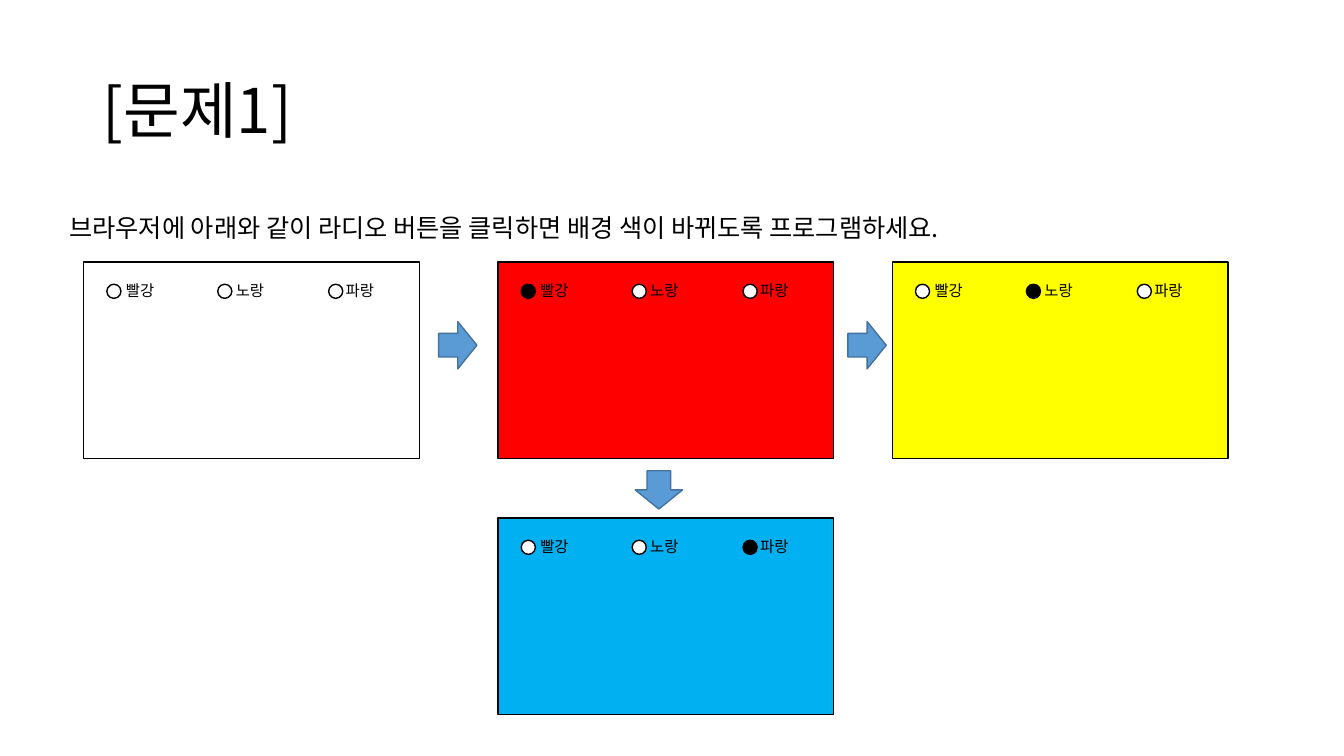
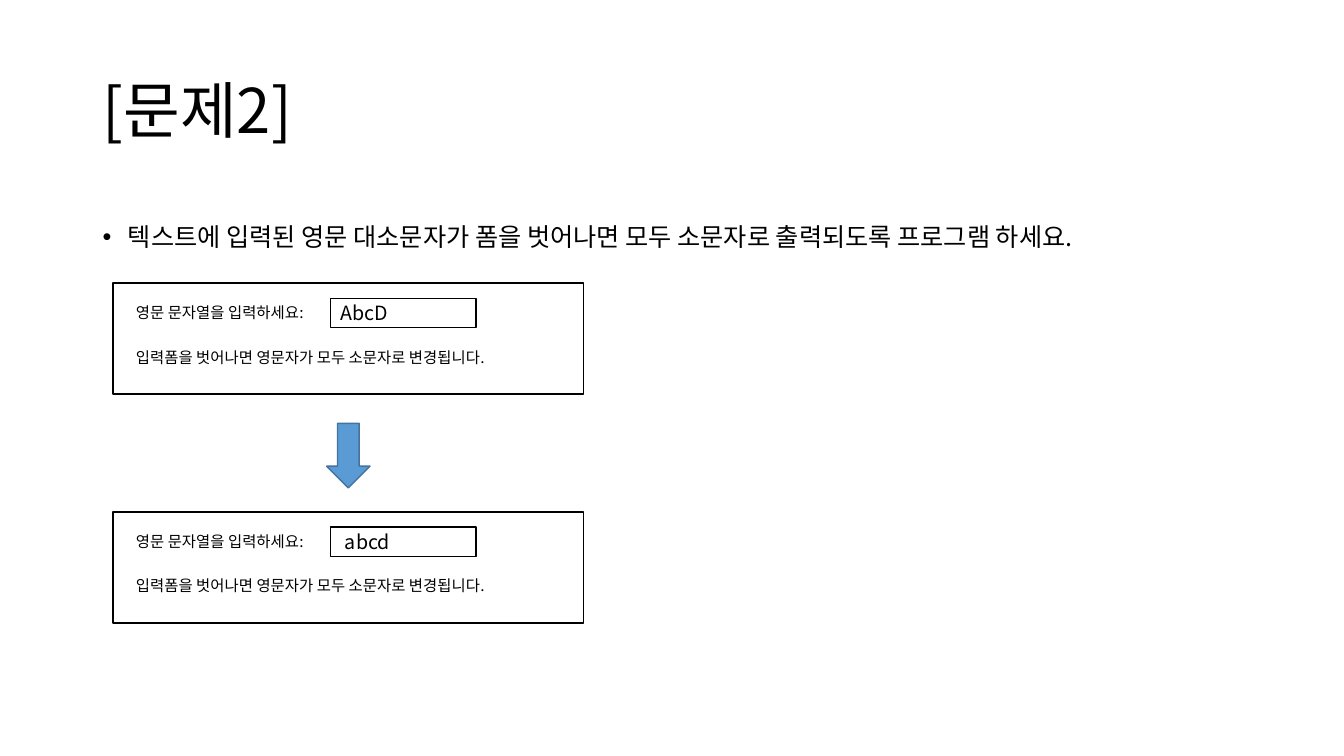
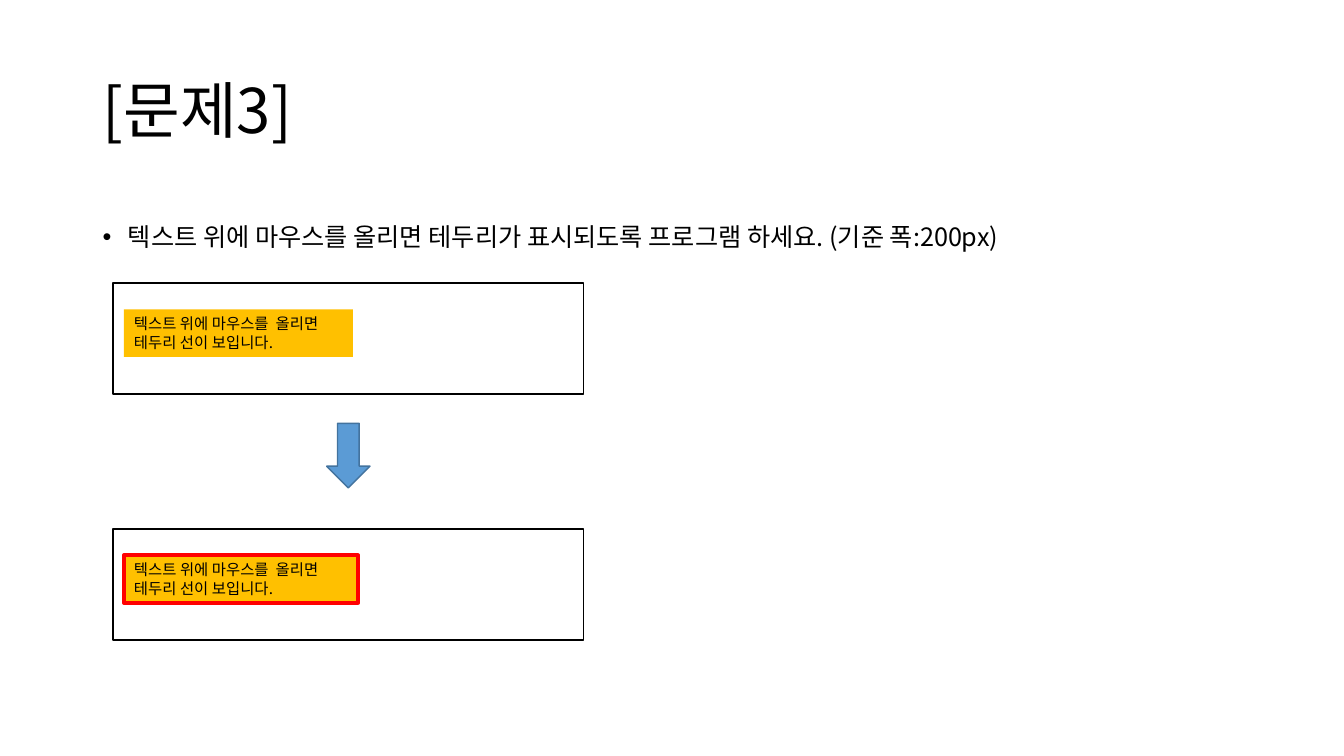
from pptx import Presentation
from pptx.dml.color import RGBColor
from pptx.enum.shapes import MSO_SHAPE as SHAPE
from pptx.enum.text import MSO_ANCHOR as ANCHOR, MSO_AUTO_SIZE as AUTO, PP_ALIGN as ALIGN
from pptx.oxml.ns import qn
from pptx.util import Emu, Pt
from lxml.etree import SubElement

SCALE = 9144


def px(n):
    return Emu(n * SCALE)


def rgb(value):
    return RGBColor.from_string(value)


def apply(obj, fmt):
    for name, value in fmt.items():
        setattr(obj, name, value)


class Deck:
    FONT = "Noto Sans CJK KR"
    INK, PAPER = "000000", "FFFFFF"
    ARROW, ARROW_EDGE = "5B9BD5", "43739E"
    NOTE, HOVER = "FFC000", "FF0000"
    TITLE = {"line_spacing": 0.9}
    FIT = {"word_wrap": False, "auto_size": AUTO.SHAPE_TO_FIT_TEXT}
    WRAP = {"word_wrap": True, "auto_size": AUTO.NONE}
    MIDDLE = {**WRAP, "vertical_anchor": ANCHOR.MIDDLE}

    def __init__(self):
        self.prs = Presentation()
        apply(self.prs, {"slide_width": px(1333), "slide_height": px(750)})
        self.s = None

    def slide(self, title):
        self.s = self.prs.slides.add_slide(self.prs.slide_layouts[6])
        self.text(92, 40, 1150, 145, title, 44, self.MIDDLE, self.TITLE)

    def put_text(self, sp, text, size, frame, para=None):
        tf = sp.text_frame
        apply(tf, frame)
        for i, line in enumerate(text.split("\n")):
            p = tf.add_paragraph() if i else tf.paragraphs[0]
            apply(p, {"alignment": ALIGN.LEFT, **(para or {})})
            r = p.add_run()
            r.text = line
            apply(r.font, {"size": Pt(size), "name": self.FONT})
            r.font.color.rgb = rgb(self.INK)
            SubElement(r._r.get_or_add_rPr(), qn("a:ea")).set("typeface", self.FONT)
        return sp

    def text(self, x, y, w, h, text, size, frame, para=None):
        sp = self.s.shapes.add_textbox(px(x), px(y), px(w), px(h))
        return self.put_text(sp, text, size, frame, para)

    def label(self, x, y, w, text, h=29):
        return self.text(x, y, w, h, text, 11, self.FIT)

    def body(self, x, y, text, spacing, bullet=False):
        para = {"line_spacing": spacing, "space_before": Pt(10)}
        sp = self.text(x, y, 1150, 476, text, 18, self.WRAP, para)
        if bullet:
            pPr = sp.text_frame.paragraphs[0]._p.get_or_add_pPr()
            pPr.set("marL", str(px(25)))
            pPr.set("indent", str(px(-25)))
            SubElement(pPr, qn("a:buFont")).set("typeface", "Arial")
            SubElement(pPr, qn("a:buChar")).set("char", "•")

    def shape(self, kind, x, y, w, h, fill=PAPER, line=INK):
        sp = self.s.shapes.add_shape(kind, px(x), px(y), px(w), px(h))
        sp.shadow.inherit = False
        sp.fill.solid()
        sp.fill.fore_color.rgb = rgb(fill)
        sp.line.color.rgb = rgb(line)
        sp.line.width = Pt(1)
        return sp

    def arrow(self, kind, x, y, w, h):
        self.shape(kind, x, y, w, h, self.ARROW, self.ARROW_EDGE)

    def panel(self, y):
        self.shape(SHAPE.RECTANGLE, 112, y, 467, 110)

    def browser(self, x, y, fill, chosen=None):
        self.shape(SHAPE.RECTANGLE, x, y, 333, 195, fill)
        for i, name in enumerate(("빨강", "노랑", "파랑")):
            self.label(x + 32 + 109 * i, y + 14, 51, name)
            dot = self.INK if name == chosen else self.PAPER
            self.shape(SHAPE.OVAL, x + 23 + 110 * i, y + 22, 14, 14, dot)

    def form(self, y, value):
        self.panel(y)
        self.label(125, y + 15, 210, "영문 문자열을 입력하세요:")
        field = self.shape(SHAPE.RECTANGLE, 328, y + 15, 144, 29)
        self.put_text(field, value, 14, self.MIDDLE)
        self.label(125, y + 59, 402, "입력폼을 벗어나면 영문자가 모두 소문자로 변경됩니다.")

    def note(self, y, w, hover=False):
        self.panel(y)
        sp = self.label(123, y + 26, w, "텍스트 위에 마우스를  올리면\n테두리 선이 보입니다.", 47)
        sp.fill.solid()
        sp.fill.fore_color.rgb = rgb(self.NOTE)
        if hover:
            sp.line.color.rgb = rgb(self.HOVER)
            sp.line.width = Pt(3)


def main():
    d = Deck()

    d.slide("[문제1]")
    d.body(59, 185, "브라우저에 아래와 같이 라디오 버튼을 클릭하면 배경 색이 바뀌도록 프로그램하세요.", 1.7)
    for x, y, fill, chosen in (
        (83, 260, "FFFFFF", None),
        (494, 260, "FF0000", "빨강"),
        (885, 260, "FFFF00", "노랑"),
        (494, 514, "00B0F0", "파랑"),
    ):
        d.browser(x, y, fill, chosen)
    for x in (435, 841):
        d.arrow(SHAPE.RIGHT_ARROW, x, 319, 38, 47)
    d.arrow(SHAPE.DOWN_ARROW, 630, 467, 47, 38)

    d.slide("[문제2]")
    d.body(92, 200, "텍스트에 입력된 영문 대소문자가 폼을 벗어나면 모두 소문자로 출력되도록 프로그램 하세요.", 1.5, True)
    d.form(281, "AbcD")
    d.arrow(SHAPE.DOWN_ARROW, 324, 420, 43, 64)
    d.form(508, " abcd")

    d.slide("[문제3]")
    d.body(92, 200, "텍스트 위에 마우스를 올리면 테두리가 표시되도록 프로그램 하세요. (기준 폭:200px)", 1.5, True)
    d.note(281, 227)
    d.arrow(SHAPE.DOWN_ARROW, 324, 420, 43, 64)
    d.note(525, 232, True)

    d.prs.save("out.pptx")


if __name__ == "__main__":
    main()
